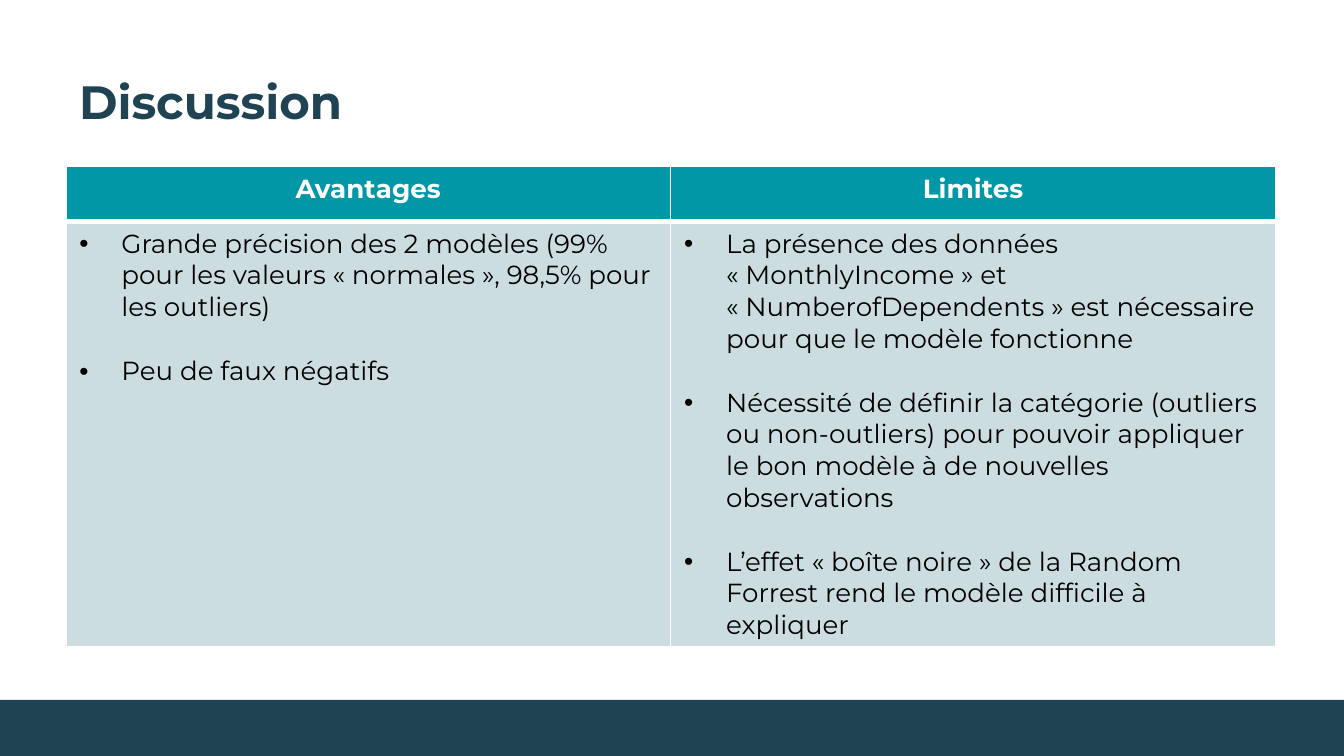
from dataclasses import dataclass
from lxml.etree import SubElement
from pptx import Presentation
from pptx.dml.color import RGBColor as RGB
from pptx.enum.shapes import MSO_SHAPE as Shape
from pptx.enum.text import MSO_ANCHOR as Anchor, PP_ALIGN as Align
from pptx.oxml import parse_xml
from pptx.oxml.ns import nsdecls, qn
from pptx.util import Pt


@dataclass(frozen=True)
class Theme:
    font: str = "Montserrat"
    navy: str = "1F4352"
    teal: str = "0097A7"
    pale: str = "CCDDE1"
    white: str = "FFFFFF"
    black: str = "000000"
    title: int = 25
    body: int = 14


THEME = Theme()


def write(frame, lines, size=THEME.body, color=THEME.black, bold=False,
          align=Align.LEFT, indent=0, gap=0):
    """Fill a text frame, one paragraph a line; an indent adds bullets."""
    for i, line in enumerate(lines):
        para = frame.paragraphs[0] if i == 0 else frame.add_paragraph()
        para.alignment = align
        para.space_before = Pt(gap if i else 0)
        run = para.add_run()
        run.text = line
        font = run.font
        font.name, font.size, font.bold = THEME.font, Pt(size), bold
        font.color.rgb = RGB.from_string(color)
        if indent:
            props = para._p.get_or_add_pPr()
            props.set("marL", str(Pt(indent)))
            props.set("indent", str(-Pt(indent)))
            SubElement(props, qn("a:buFont"), typeface="Arial")
            SubElement(props, qn("a:buChar"), char="•")


class Deck:
    def __init__(self, theme, width, height):
        self.theme = theme
        self.file = Presentation()
        self.file.slide_width, self.file.slide_height = Pt(width), Pt(height)
        self.slide = self.file.slides.add_slide(self.file.slide_layouts[6])

    def text(self, box, lines, **style):
        frame = self.slide.shapes.add_textbox(*map(Pt, box)).text_frame
        frame.word_wrap = True
        frame.margin_left = frame.margin_right = Pt(7.2)
        frame.margin_top = frame.margin_bottom = Pt(7.2)
        frame.vertical_anchor = Anchor.TOP
        write(frame, lines, **style)

    def rect(self, box, color):
        shape = self.slide.shapes.add_shape(Shape.RECTANGLE, *map(Pt, box))
        shape.shadow.inherit = False
        shape.fill.solid()
        shape.fill.fore_color.rgb = RGB.from_string(color)
        shape.line.fill.background()

    def edges(self, cell, widths):
        props = cell._tc.get_or_add_tcPr()
        for i, (side, width) in enumerate(widths.items()):
            props.insert(i, parse_xml(
                f'<a:ln{side} {nsdecls("a")} w="{Pt(width)}"><a:solidFill>'
                f'<a:srgbClr val="{self.theme.white}"/></a:solidFill></a:ln{side}>'))

    def table(self, box, heights, columns):
        theme = self.theme
        table = self.slide.shapes.add_table(
            len(heights), len(columns), *map(Pt, box)).table
        table.horz_banding = False
        for row, height in zip(table.rows, heights):
            row.height = Pt(height)
        looks = (
            (theme.teal, dict(L=1, R=1, T=1, B=3),
             dict(color=theme.white, bold=True, align=Align.CENTER)),
            (theme.pale, dict(L=1, R=1, T=3, B=1), dict(indent=22.5, gap=17)),
        )
        for x, (head, points) in enumerate(columns.items()):
            table.columns[x].width = Pt(box[2] / len(columns))
            for y, lines in enumerate(([head], points)):
                fill, widths, style = looks[y]
                cell = table.cell(y, x)
                cell.fill.solid()
                cell.fill.fore_color.rgb = RGB.from_string(fill)
                self.edges(cell, widths)
                write(cell.text_frame, lines, **style)


deck = Deck(THEME, 720, 405)

# Title and footer band
deck.text((35.3, 31.7, 418, 42), ["Discussion"],
          size=THEME.title, color=THEME.navy, bold=True)
deck.rect((0, 375, 720, 30), THEME.navy)

# Pros and cons
deck.table((35.3, 89.3, 648, 257.4), (29.2, 228.2), {
    "Avantages": [
        "Grande précision des 2 modèles (99% pour les valeurs "
        "«\u00a0normales\u00a0», 98,5% pour les outliers)",
        "Peu de faux négatifs",
    ],
    "Limites": [
        "La présence des données «\u00a0MonthlyIncome\u00a0» et "
        "«\u00a0NumberofDependents\u00a0» est nécessaire pour que le modèle "
        "fonctionne",
        "Nécessité de définir la catégorie (outliers ou non-outliers) pour "
        "pouvoir appliquer le bon modèle à de nouvelles observations",
        "L’effet «\u00a0boîte noire\u00a0» de la Random Forrest rend le "
        "modèle difficile à expliquer",
    ],
})

deck.file.save("out.pptx")
